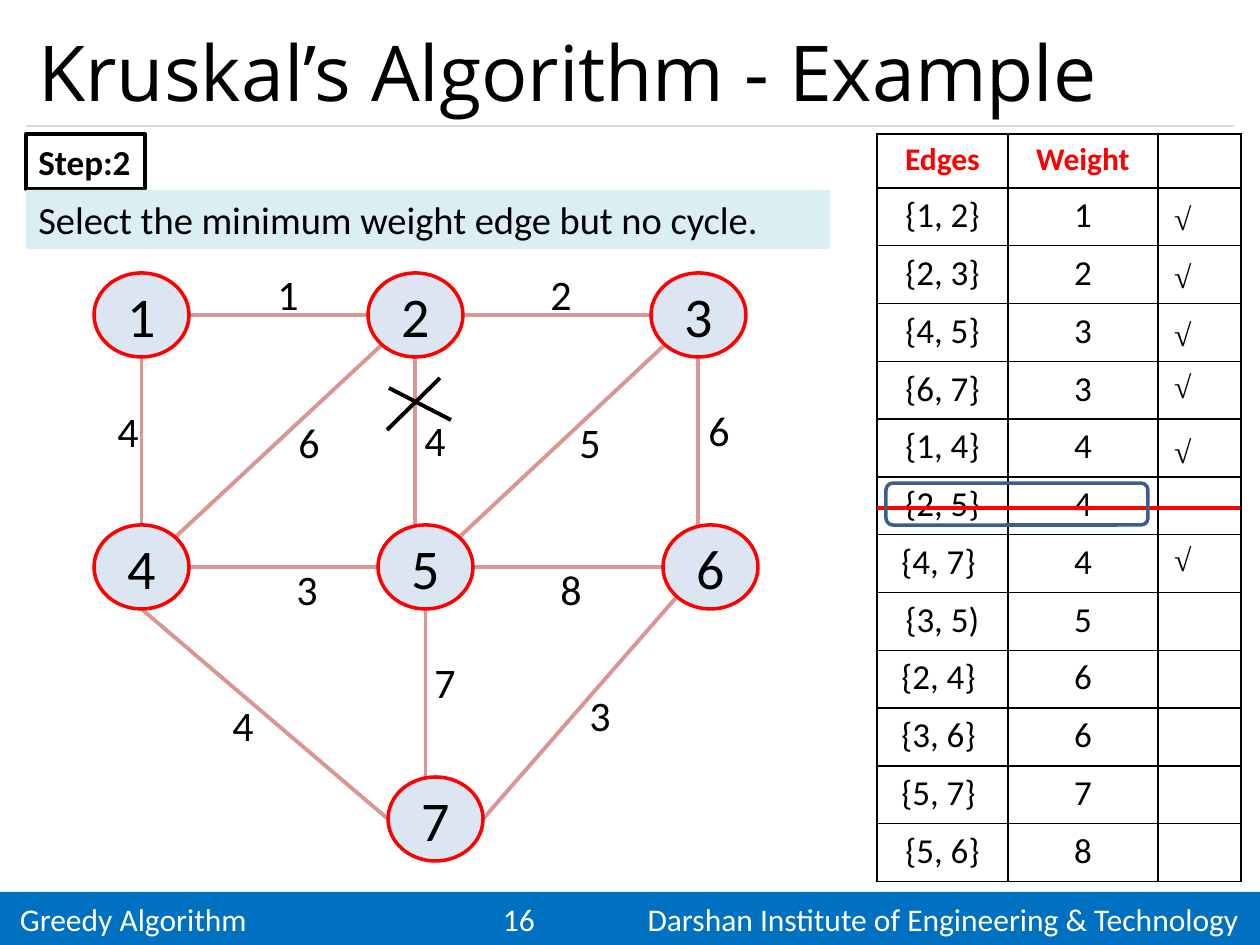
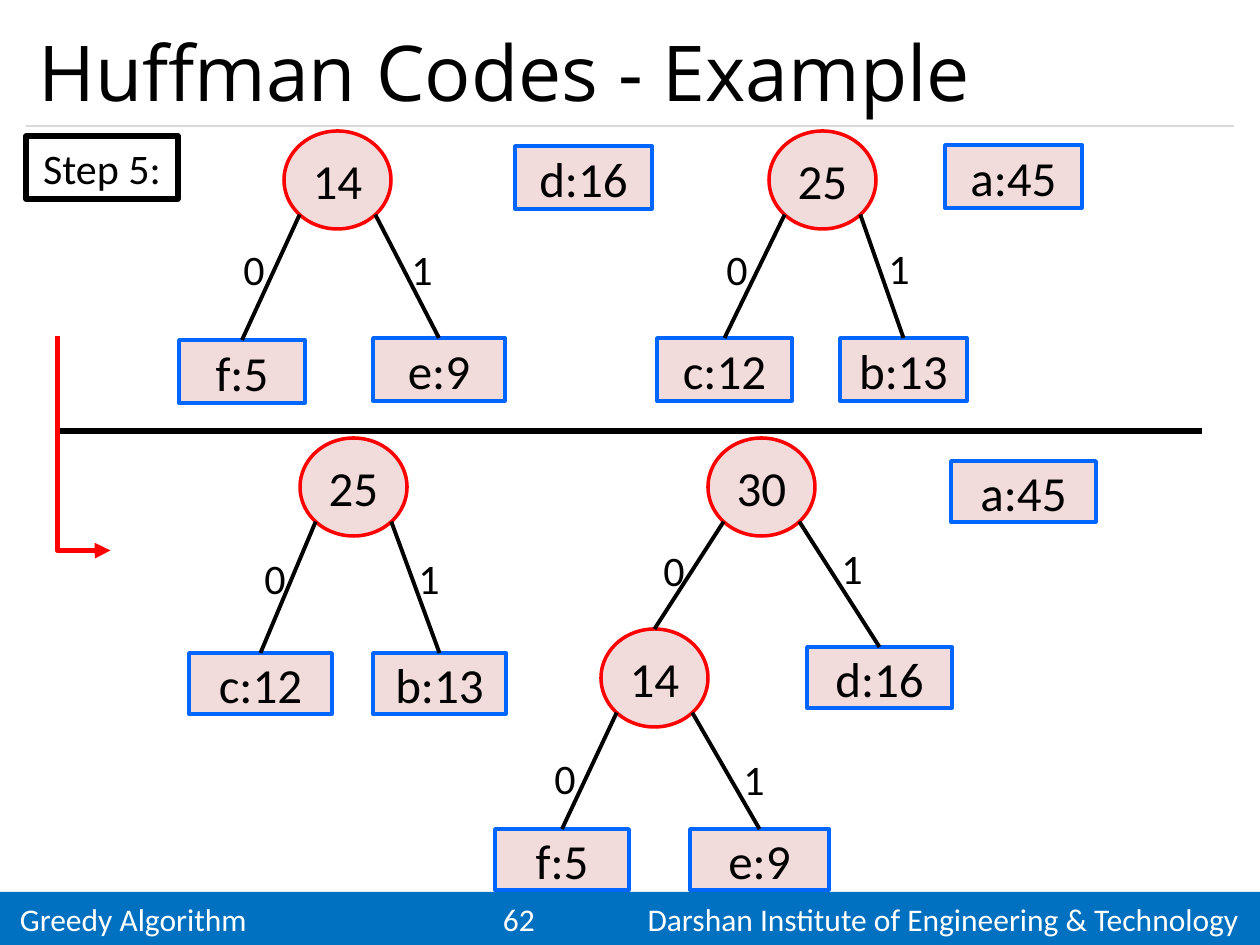
"""Build two slides on greedy algorithms: a Kruskal step and a Huffman step."""
import math

import lxml.etree
import pptx
import pptx.dml.color
import pptx.enum.shapes
import pptx.enum.text
import pptx.oxml
import pptx.oxml.ns
import pptx.util

RGB = pptx.dml.color.RGBColor
BLACK = RGB(0x00, 0x00, 0x00)
WHITE = RGB(0xFF, 0xFF, 0xFF)
RED = RGB(0xFF, 0x00, 0x00)
BAND_BLUE = RGB(0x00, 0x70, 0xC0)
RULE_GREY = RGB(0xD9, 0xD9, 0xD9)
NOTE_BLUE = RGB(0xDB, 0xEE, 0xF4)
NODE_BLUE = RGB(0xDC, 0xE6, 0xF2)
EDGE_ROSE = RGB(0xD9, 0x96, 0x94)
FRAME_BLUE = RGB(0x3A, 0x5F, 0x8C)
TREE_ROSE = RGB(0xF2, 0xDC, 0xDB)
LEAF_BLUE = RGB(0x00, 0x66, 0xFF)

PX = pptx.util.Inches(1) / 126
SHAPE = pptx.enum.shapes.MSO_SHAPE
CONNECTOR = pptx.enum.shapes.MSO_CONNECTOR
ALIGN = pptx.enum.text.PP_ALIGN
ANCHOR = pptx.enum.text.MSO_ANCHOR
NAMESPACE = pptx.oxml.ns.nsdecls("a")
qn = pptx.oxml.ns.qn


def add_box(page, kind, area, text="", size=24, fill=None, edge=None, width=2,
            align=ALIGN.CENTER, anchor=ANCHOR.MIDDLE, wrap=True, colour=BLACK, **font):
    """Add a preset shape, or a text box when kind is None."""
    place = [round(length * PX) for length in area]
    if kind is None:
        box = page.shapes.add_textbox(*place)
    else:
        box = page.shapes.add_shape(kind, *place)
        box.shadow.inherit = False
    for paint, tint in ((box.fill, fill), (box.line.fill, edge)):
        if tint is None:
            paint.background()
        else:
            paint.solid()
            paint.fore_color.rgb = tint
    if edge is not None:
        box.line.width = pptx.util.Pt(width)
    box.text_frame.word_wrap = wrap
    box.text_frame.vertical_anchor = anchor
    para = box.text_frame.paragraphs[0]
    para.alignment = align
    if text:
        span = para.add_run()
        span.text = text
        span.font.color.rgb = colour
        for name, value in {"name": "Calibri", "size": pptx.util.Pt(size), **font}.items():
            setattr(span.font, name, value)
    return box


def add_line(page, ends, colour=BLACK, width=2.25, kind=CONNECTOR.STRAIGHT):
    """Add a connector without a shadow."""
    line = page.shapes.add_connector(kind, *[round(length * PX) for length in ends])
    line.line.color.rgb = colour
    line.line.width = pptx.util.Pt(width)
    lxml.etree.SubElement(line._element.spPr, qn("a:effectLst"))
    return line


deck = pptx.Presentation()
deck.slide_width = round(1260 * PX)
deck.slide_height = round(945 * PX)

PLAIN = {"align": ALIGN.LEFT, "anchor": ANCHOR.TOP}
pages = []
for title, number in (("Kruskal’s Algorithm - Example", 16), ("Huffman Codes - Example", 62)):
    page = deck.slides.add_slide(deck.slide_layouts[6])
    footer = f"Greedy Algorithm\t{number}\tDarshan Institute of Engineering & Technology"
    band = add_box(page, SHAPE.RECTANGLE, (0, 892, 1260, 53), footer, 18, BAND_BLUE,
                   align=ALIGN.LEFT, colour=WHITE)
    band.text_frame.margin_left = round(20 * PX)
    band.text_frame.margin_right = 0
    tabs = lxml.etree.SubElement(band.text_frame.paragraphs[0]._p.get_or_add_pPr(), qn("a:tabLst"))
    for stop, side in ((499, "ctr"), (1219, "r")):
        lxml.etree.SubElement(tabs, qn("a:tab"), pos=str(round(stop * PX)), algn=side)
    add_line(page, (26, 126, 1234, 126), RULE_GREY, 0.75)
    add_box(page, None, (26, 15, 1208, 111), title, 44, align=ALIGN.LEFT, name="Open Sans")
    pages.append(page)
kruskal, huffman = pages

add_box(kruskal, SHAPE.RECTANGLE, (26, 134, 119, 55), "Step:2", 20, edge=BLACK, width=2.25,
        wrap=False, bold=True, **PLAIN)
add_box(kruskal, SHAPE.RECTANGLE, (26, 190, 804, 59),
        "Select the minimum weight edge but no cycle.", 22, NOTE_BLUE, **PLAIN)

NODE_WIDTH, NODE_HEIGHT = 95, 84
DIAGONAL = math.sqrt(0.5)
SITES = {"N": (0, -1), "E": (1, 0), "S": (0, 1), "W": (-1, 0),
         "NE": (DIAGONAL, -DIAGONAL), "SW": (-DIAGONAL, DIAGONAL)}
nodes = {1: (94, 273), 2: (368, 273), 3: (651, 273), 4: (94, 525), 5: (378, 525),
         6: (663, 525), 7: (388, 777)}
edges = [
    (1, "E", 2, "W"), (2, "E", 3, "W"), (4, "E", 5, "W"), (5, "E", 6, "W"),
    (1, "S", 4, "N"), (2, "S", 5, "N"), (3, "S", 6, "N"), (5, "S", 7, "N"),
    (4, "NE", 2, "SW"), (5, "NE", 3, "SW"), (6, "SW", 7, "E"), (4, "S", 7, "W"),
]
for start, start_site, finish, finish_site in edges:
    ends = []
    for node, site in ((start, start_site), (finish, finish_site)):
        left, top = nodes[node]
        across, down = SITES[site]
        ends += [left + NODE_WIDTH / 2 * (1 + across), top + NODE_HEIGHT / 2 * (1 + down)]
    if finish_site == "N":
        ends[2] = ends[0]
    add_line(kruskal, ends, EDGE_ROSE)

edge_weights = [
    ("4", 105, 399), ("6", 286, 410), ("4", 412, 408), ("5", 567, 410), ("6", 696, 398),
    ("3", 284, 557), ("8", 548, 557), ("4", 220, 693), ("7", 422, 650), ("3", 577, 683),
    ("1", 265, 262), ("2", 538, 262),
]
for weight, left, top in edge_weights:
    add_box(kruskal, None, (left, top, 50, 63), weight, **PLAIN)

rows = [
    ("Edges", "Weight"), ("{1, 2}", "1"), ("{2, 3}", "2"), ("{4, 5}", "3"), ("{6, 7}", "3"),
    ("{1, 4}", "4"), ("{2, 5}", "4"), ("{4, 7} ", "4"), ("{3, 5)", "5"), ("{2, 4} ", "6"),
    ("{3, 6} ", "6"), ("{5, 7} ", "7"), ("{5, 6}", "8"),
]
place = [round(length * PX) for length in (877, 134, 364, 748)]
table = kruskal.shapes.add_table(len(rows), 3, *place).table
table.first_row = table.horz_banding = False
for column, width in zip(table.columns, (131, 150, 83)):
    column.width = round(width * PX)
for index, row in enumerate(table.rows):
    row.height = round((694 / 12 if index else 54) * PX)
    for column, cell in enumerate(row.cells):
        cell.fill.background()
        for order, side in enumerate("LRTB"):
            border = pptx.oxml.parse_xml(
                f'<a:ln{side} {NAMESPACE} w="12700"><a:solidFill><a:srgbClr val="{BLACK}"/>'
                f'</a:solidFill></a:ln{side}>')
            cell._tc.get_or_add_tcPr().insert(order, border)
        if column < 2:
            para = cell.text_frame.paragraphs[0]
            para.alignment = ALIGN.CENTER
            span = para.add_run()
            span.text = rows[index][column]
            span.font.color.rgb = BLACK if index else RED
            look = {"name": "Calibri", "size": pptx.util.Pt(20 if index else 18), "bold": not index}
            for name, value in look.items():
                setattr(span.font, name, value)

for top in (189, 247, 305, 357, 422, 530):
    add_box(kruskal, SHAPE.ROUNDED_RECTANGLE, (1155, top, 63, 58), "√ ", 18,
            name="Times New Roman", bold=True, italic=True)
for node, (left, top) in nodes.items():
    add_box(kruskal, SHAPE.OVAL, (left, top, NODE_WIDTH, NODE_HEIGHT), str(node), 32,
            NODE_BLUE, RED)
for stroke in ((387, 430, 440, 378), (389, 388, 451, 420)):
    add_line(kruskal, stroke)
add_line(kruskal, (877, 508, 1240, 508), RED)
add_box(kruskal, SHAPE.ROUNDED_RECTANGLE, (886, 483, 262, 42), edge=FRAME_BLUE)

add_box(huffman, SHAPE.RECTANGLE, (26, 136, 152, 63), "Step 5:", edge=BLACK, width=3)
add_line(huffman, (58, 431, 1202, 431), width=3)
arrow = add_line(huffman, (191, 417, -23, 470), RED, 3, CONNECTOR.ELBOW)
properties = arrow._element.spPr
properties.find(qn("a:xfrm")).set("rot", "16200000")
guides = properties.find(qn("a:prstGeom")).find(qn("a:avLst"))
lxml.etree.SubElement(guides, qn("a:gd"), name="adj1", fmla="val 100100")
lxml.etree.SubElement(properties.find(qn("a:ln")), qn("a:tailEnd"), type="triangle")

ROOT_WIDTH, ROOT_HEIGHT = 107, 98
before_merge = {
    "leaf_height": 63,
    "leaves": [("c:12", 657, 338, 135), ("b:13", 840, 338, 127), ("d:16", 515, 146, 137),
               ("a:45", 945, 145, 137), ("f:5", 179, 340, 126), ("e:9", 373, 338, 132)],
    "roots": [("14", 284, 131), ("25", 769, 131)],
    "branches": [("14", "f:5", "0", 231, 237), ("14", "e:9", "1", 399, 237),
                 ("25", "c:12", "0", 714, 237), ("25", "b:13", "1", 876, 236)],
}
after_merge = {
    "leaf_height": 61,
    "leaves": [("c:12", 189, 653, 143), ("b:13", 373, 653, 133), ("d:16", 807, 647, 145),
               ("a:45", 951, 461, 145), ("f:5", 495, 829, 134), ("e:9", 690, 829, 139)],
    "roots": [("25", 300, 438), ("30", 708, 438), ("14", 601, 629)],
    "branches": [("25", "c:12", "0", 252, 546), ("25", "b:13", "1", 406, 546),
                 ("30", "14", "0", 651, 538), ("30", "d:16", "1", 829, 536),
                 ("14", "f:5", "0", 542, 746), ("14", "e:9", "1", 731, 747)],
}
for forest in (before_merge, after_merge):
    boxes = {}
    for text, left, top, width in forest["leaves"]:
        boxes[text] = add_box(huffman, SHAPE.RECTANGLE, (left, top, width, forest["leaf_height"]),
                              text, 28, TREE_ROSE, LEAF_BLUE)
    centres = {}
    for text, left, top in forest["roots"]:
        boxes[text] = add_box(huffman, SHAPE.OVAL, (left, top, ROOT_WIDTH, ROOT_HEIGHT),
                              text, 28, TREE_ROSE, RED)
        centres[text] = (left + ROOT_WIDTH / 2, top + ROOT_HEIGHT / 2)
    for parent, child, digit, left, top in forest["branches"]:
        x, y = centres[parent]
        side = 1 if digit == "1" else -1
        x += side * DIAGONAL * ROOT_WIDTH / 2
        y += DIAGONAL * ROOT_HEIGHT / 2
        add_line(huffman, (x, y, x, y + 1)).end_connect(boxes[child], 0)
        add_box(huffman, None, (left, top, 65, 63), digit, **PLAIN)

deck.save("out.pptx")
